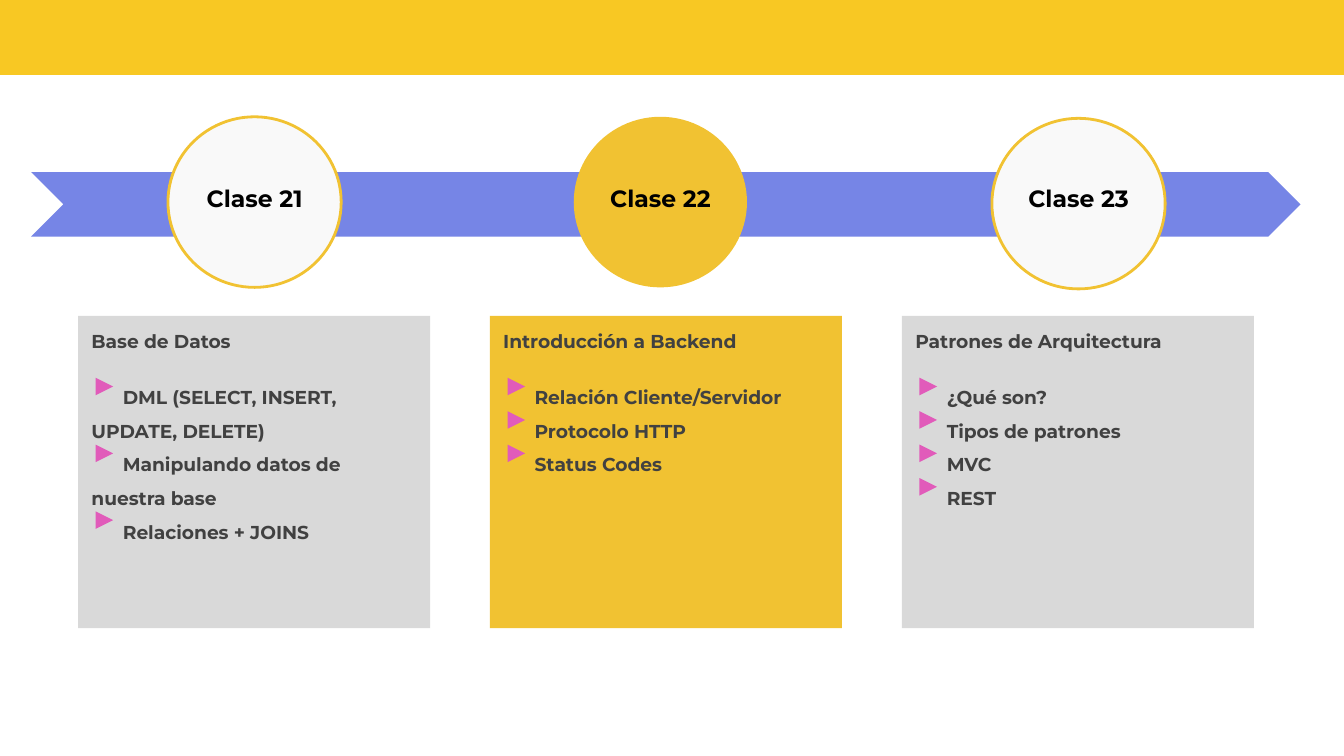
from lxml import etree
from pptx import Presentation
from pptx.dml.color import RGBColor
from pptx.enum.shapes import MSO_SHAPE
from pptx.enum.text import MSO_ANCHOR, MSO_AUTO_SIZE, PP_ALIGN
from pptx.oxml.ns import qn
from pptx.util import Pt

RECTANGLE, OVAL = MSO_SHAPE.RECTANGLE, MSO_SHAPE.OVAL
CHEVRON, TRIANGLE = MSO_SHAPE.CHEVRON, MSO_SHAPE.ISOSCELES_TRIANGLE
LEFT, CENTER = PP_ALIGN.LEFT, PP_ALIGN.CENTER

YELLOW, GOLD, BLUE, PINK = "F8C823", "F1C232", "7685E6", "E15BBA"
GREY, WHITE, BLACK, DARK = "D9D9D9", "F9F9F9", "000000", "414141"

COMPARISON_LAYOUT = 4
INSET = 7.2
ROW_HEIGHT = 17.9
FIRST_MARKER_TOP = 33.1
MARKER_SIZE = 9.4

FRAME_FORMAT = {
    "word_wrap": True,
    "auto_size": MSO_AUTO_SIZE.NONE,
    "vertical_anchor": MSO_ANCHOR.TOP,
    "margin_left": Pt(INSET),
    "margin_right": Pt(INSET),
    "margin_top": Pt(INSET),
    "margin_bottom": Pt(INSET),
}

CLASSES = [
    {
        "label": "Clase 21", "label_index": 1, "list_index": 2,
        "circle": (90, 62.6), "circle_fill": WHITE, "card_fill": GREY,
        "heading": "Base de Datos",
        "topics": [
            ("DML (SELECT, INSERT, UPDATE, DELETE)", 2),
            ("Manipulando datos de nuestra base", 2),
            ("Relaciones + JOINS", 1),
        ],
    },
    {
        "label": "Clase 22", "label_index": 0, "list_index": None,
        "circle": (307.4, 62.6), "circle_fill": GOLD, "card_fill": GOLD,
        "heading": "Introducción a Backend",
        "topics": [
            ("Relación Cliente/Servidor", 1),
            ("Protocolo HTTP", 1),
            ("Status Codes", 1),
        ],
    },
    {
        "label": "Clase 23", "label_index": 3, "list_index": 4,
        "circle": (531.4, 63.4), "circle_fill": WHITE, "card_fill": GREY,
        "heading": "Patrones de Arquitectura",
        "topics": [
            ("¿Qué son?", 1),
            ("Tipos de patrones", 1),
            ("MVC", 1),
            ("REST", 1),
        ],
    },
]


def color(value):
    """Return the colour for a hex string."""
    return RGBColor.from_string(value)


def apply_format(target, values):
    """Set every attribute in a dict of format values."""
    for name, value in values.items():
        setattr(target, name, value)


def place(shape, box):
    """Move a shape to a box in points and bring it to the front."""
    sides = ("left", "top", "width", "height")
    apply_format(shape, {side: Pt(value) for side, value in zip(sides, box)})
    shape.element.getparent().append(shape.element)


def add_shape(slide, kind, box, fill, outline=None):
    """Add a flat filled shape with an optional outline."""
    shape = slide.shapes.add_shape(kind, *map(Pt, box))
    shape.shadow.inherit = False
    shape.fill.solid()
    shape.fill.fore_color.rgb = color(fill)
    if outline:
        shape.line.color.rgb = color(outline)
        shape.line.width = Pt(1.5)
    else:
        shape.line.fill.background()
    return shape


def write_paragraph(paragraph, text, size, fill, alignment=LEFT,
                    line_spacing=1.0, space_after=0, indent=0):
    """Write one bold paragraph without a bullet."""
    paragraph.text = text
    apply_format(paragraph, {
        "alignment": alignment,
        "line_spacing": line_spacing,
        "space_before": Pt(0),
        "space_after": Pt(space_after),
    })
    apply_format(paragraph.runs[0].font,
                 {"name": "Montserrat", "size": Pt(size), "bold": True})
    paragraph.runs[0].font.color.rgb = color(fill)
    properties = paragraph._p.get_or_add_pPr()
    properties.set("marL", "0")
    properties.set("indent", str(Pt(indent)))
    etree.SubElement(properties, qn("a:buNone"))


def add_circle(slide, box, item):
    """Draw a class circle with its label in the middle."""
    left, top, width, height = box
    outline = GOLD if item["circle_fill"] == WHITE else None
    add_shape(slide, OVAL, box, item["circle_fill"], outline)
    label = slide.placeholders[item["label_index"]]
    label_width = 78
    place(label, (left + (width - label_width) / 2, 91.4, label_width, 23.8))
    apply_format(label.text_frame, FRAME_FORMAT)
    write_paragraph(label.text_frame.paragraphs[0], item["label"], 12.6, BLACK, CENTER)


def add_card(slide, box, item):
    """Draw a card with a heading and marked topics."""
    left, top, width, height = box
    add_shape(slide, RECTANGLE, box, item["card_fill"])
    if item["list_index"] is None:
        topic_list = slide.shapes.add_textbox(*map(Pt, box))
    else:
        topic_list = slide.placeholders[item["list_index"]]
    place(topic_list, box)
    frame = topic_list.text_frame
    apply_format(frame, FRAME_FORMAT)
    write_paragraph(frame.paragraphs[0], item["heading"], 10, DARK, space_after=12.2)
    row = 0
    for text, line_count in item["topics"]:
        write_paragraph(frame.add_paragraph(), text, 10, DARK,
                        line_spacing=1.5, indent=16.8)
        marker_top = top + FIRST_MARKER_TOP + row * ROW_HEIGHT
        marker = add_shape(slide, TRIANGLE,
                           (left + 9.4, marker_top, MARKER_SIZE, MARKER_SIZE), PINK)
        marker.rotation = 90
        row += line_count


def add_timeline(slide, box):
    """Draw the arrow band and the class circles along it."""
    add_shape(slide, CHEVRON, box, BLUE)
    for item in CLASSES:
        add_circle(slide, (*item["circle"], 92.8, 91.4), item)


def add_cards(slide, box):
    """Spread the class cards evenly over a box."""
    left, top, width, height = box
    card_width = 188.6
    step = (width - card_width) / (len(CLASSES) - 1)
    for position, item in enumerate(CLASSES):
        add_card(slide, (left + position * step, top, card_width, height), item)


def main():
    """Build and save the slide."""
    presentation = Presentation()
    presentation.slide_width, presentation.slide_height = Pt(720), Pt(405)
    layout = presentation.slide_layouts[COMPARISON_LAYOUT]
    slide = presentation.slides.add_slide(layout)
    add_shape(slide, RECTANGLE, (-0.7, -3.6, 722, 43.8), YELLOW)
    add_timeline(slide, (16.7, 92.2, 680, 34.5))
    add_cards(slide, (41.8, 169.3, 630, 167.2))
    presentation.save("out.pptx")


if __name__ == "__main__":
    main()
